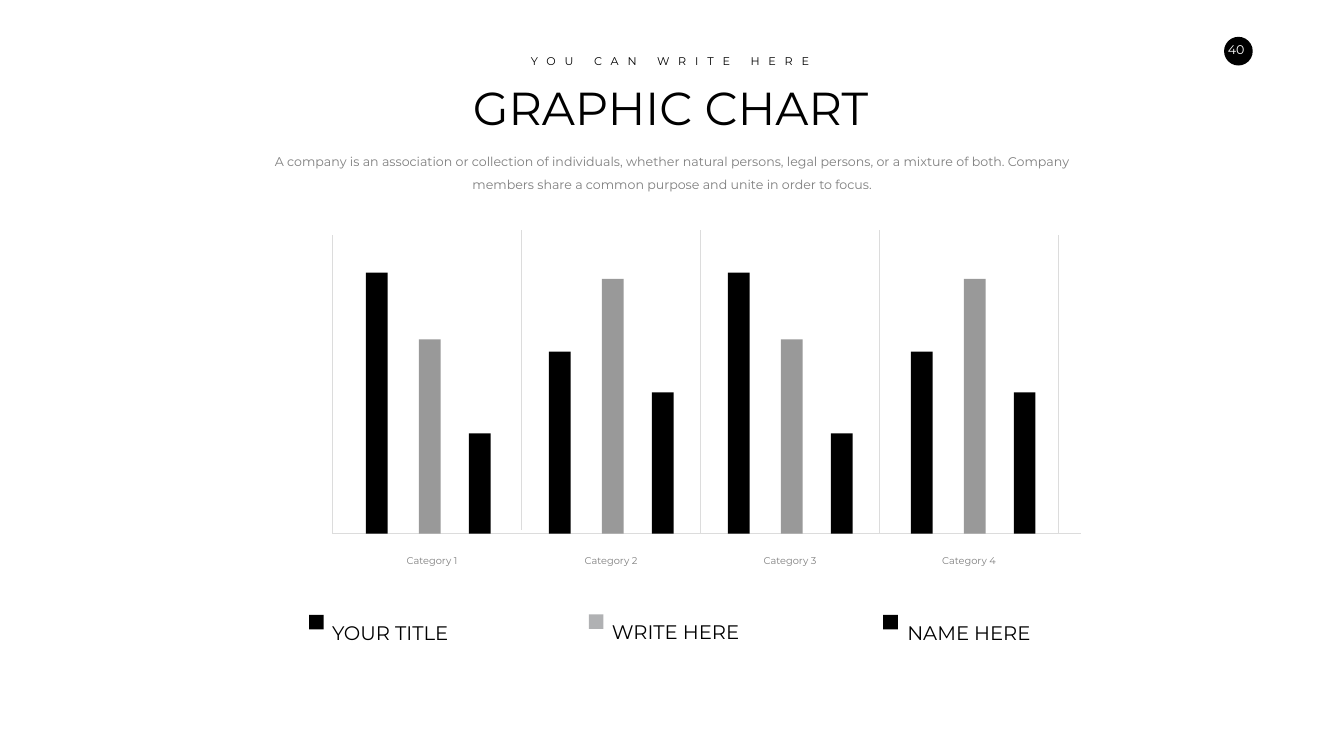
from pptx import Presentation
from pptx.dml.color import RGBColor
from pptx.enum.shapes import MSO_CONNECTOR, MSO_SHAPE
from pptx.enum.text import MSO_ANCHOR, MSO_AUTO_SIZE, PP_ALIGN
from pptx.oxml.ns import qn
from pptx.util import Pt
from lxml.etree import SubElement

BLACK = RGBColor(0x00, 0x00, 0x00)
WHITE = RGBColor(0xFF, 0xFF, 0xFF)
BAR_GRAY = RGBColor(0x99, 0x99, 0x99)
KEY_GRAY = RGBColor(0xB0, 0xB1, 0xB3)
BODY_GRAY = RGBColor(0x7F, 0x7F, 0x7F)
LABEL_GRAY = RGBColor(0x80, 0x80, 0x80)
GRID_GRAY = RGBColor(0xDC, 0xDC, 0xDC)

BASELINE = 762.5
BAR_WIDTH = 31
BAR_OFFSETS = (0, 75.6, 146.9)
BAR_COLORS = (BLACK, BAR_GRAY, BLACK)
HIGH_START = (373, 277.7, 143.3)
HIGH_MIDDLE = (260, 364, 202)
GROUPS = (
    (522.7, HIGH_START),
    (784.1, HIGH_MIDDLE),
    (1039.7, HIGH_START),
    (1301, HIGH_MIDDLE),
)
CATEGORY_STEP = 255.6
AXIS_LEFT, AXIS_RIGHT = 474.5, 1543.7
DIVIDERS = [745.2 + CATEGORY_STEP * number for number in range(4)]
LEGEND = (
    ("YOUR TITLE", BLACK, 441.4, 467.3, 878.4),
    ("WRITE HERE", KEY_GRAY, 841, 866.9, 877.7),
    ("NAME HERE", BLACK, 1261.4, 1288.8, 878.4),
)


class SlideBuilder:
    font_name = "Montserrat"
    inset = (7.2, 3.6, 7.2, 3.6)

    def __init__(self, slide):
        self.slide = slide

    def apply(self, target, values):
        for name, value in values.items():
            setattr(target, name, value)

    def fill_text(self, shape, text, size, color, align=PP_ALIGN.LEFT,
                  anchor=MSO_ANCHOR.TOP, spacing=1.0, inset=inset, tracking=0):
        frame = shape.text_frame
        left, top, right, bottom = map(Pt, inset)
        self.apply(frame, {
            "word_wrap": True, "auto_size": MSO_AUTO_SIZE.NONE,
            "vertical_anchor": anchor, "margin_left": left,
            "margin_top": top, "margin_right": right, "margin_bottom": bottom,
        })
        paragraph = frame.paragraphs[0]
        self.apply(paragraph, {
            "alignment": align, "line_spacing": spacing, "space_before": Pt(0),
        })
        run = paragraph.add_run()
        run.text = text
        self.apply(run.font, {"name": self.font_name, "size": Pt(size), "bold": False})
        run.font.color.rgb = color
        if tracking:
            run._r.get_or_add_rPr().set("spc", str(round(tracking * 100)))

    def placeholder(self, shape, box, text, size, color, **style):
        names = ("left", "top", "width", "height")
        self.apply(shape, dict(zip(names, map(Pt, box))))
        self.fill_text(shape, text, size, color, **style)

    def body(self, shape, box, text, size, color, **style):
        properties = shape.text_frame.paragraphs[0]._p.get_or_add_pPr()
        properties.set("marL", "0")
        properties.set("indent", "0")
        SubElement(properties, qn("a:buNone"))
        self.placeholder(shape, box, text, size, color, **style)

    def text(self, box, text, size, color, **style):
        shape = self.slide.shapes.add_textbox(*map(Pt, box))
        self.fill_text(shape, text, size, color, **style)

    def shape(self, kind, box, color):
        shape = self.slide.shapes.add_shape(kind, *map(Pt, box))
        shape.shadow.inherit = False
        shape.fill.solid()
        shape.fill.fore_color.rgb = color
        shape.line.fill.background()

    def line(self, *ends):
        connector = self.slide.shapes.add_connector(
            MSO_CONNECTOR.STRAIGHT, *map(Pt, ends))
        connector.line.color.rgb = GRID_GRAY
        connector.line.width = Pt(1)
        SubElement(connector._element.spPr, qn("a:effectLst"))


def main():
    presentation = Presentation()
    presentation.slide_width = Pt(1919.5)
    presentation.slide_height = Pt(1080)
    slide = presentation.slides.add_slide(presentation.slide_layouts[1])
    builder = SlideBuilder(slide)
    center, middle = PP_ALIGN.CENTER, MSO_ANCHOR.MIDDLE

    builder.shape(MSO_SHAPE.OVAL, (1748.2, 52.6, 41, 41), BLACK)
    builder.text((1734.6, 52.6, 62, 36), "40", 18, WHITE, align=center,
                 inset=(14.4, 7.2, 14.4, 7.2))
    builder.text((710.6, 73.4, 493.2, 26.6), "YOU CAN WRITE HERE", 16, BLACK,
                 align=center, tracking=12.6)
    builder.placeholder(slide.shapes.title, (493.2, 109.4, 928.8, 87.1),
                        "GRAPHIC CHART", 66, BLACK, align=center)
    builder.body(
        slide.placeholders[1], (383, 205.9, 1154.2, 72.7),
        "A company is an association or collection of individuals, whether "
        "natural persons, legal persons, or a mixture of both. Company members "
        "share a common purpose and unite in order to focus.",
        18, BODY_GRAY, align=center, spacing=1.5)

    builder.line(AXIS_LEFT, BASELINE, AXIS_RIGHT, BASELINE)
    for x in (AXIS_LEFT, *DIVIDERS[1:]):
        builder.line(x, BASELINE, x, 335.5)
    for x in DIVIDERS[:3]:
        builder.line(x, 756.7, x, 329)

    for number, (left, heights) in enumerate(GROUPS):
        for offset, height, color in zip(BAR_OFFSETS, heights, BAR_COLORS):
            builder.shape(MSO_SHAPE.RECTANGLE,
                          (left + offset, BASELINE - height, BAR_WIDTH, height), color)
        builder.text((571 + CATEGORY_STEP * number, 784.1, 92.2, 32.4),
                     f"Category {number + 1}", 14, LABEL_GRAY,
                     align=center, anchor=middle, inset=(0, 0, 0, 0))

    for title, color, key_left, text_left, top in LEGEND:
        builder.shape(MSO_SHAPE.RECTANGLE, (key_left, top, 20.9, 20.9), color)
        builder.text((text_left, top - 7.2, 300.2, 47.5), title, 28, BLACK,
                     anchor=middle, spacing=1.5)

    presentation.save("out.pptx")


if __name__ == "__main__":
    main()
